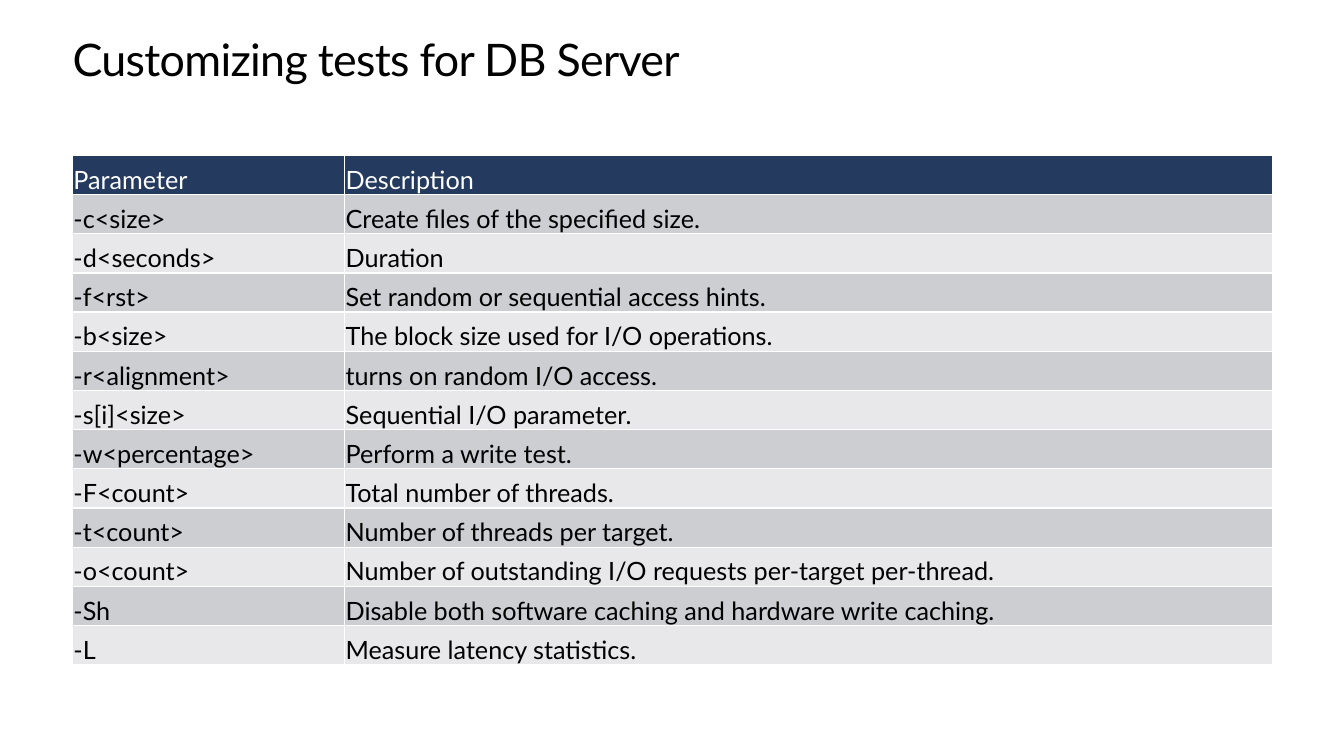
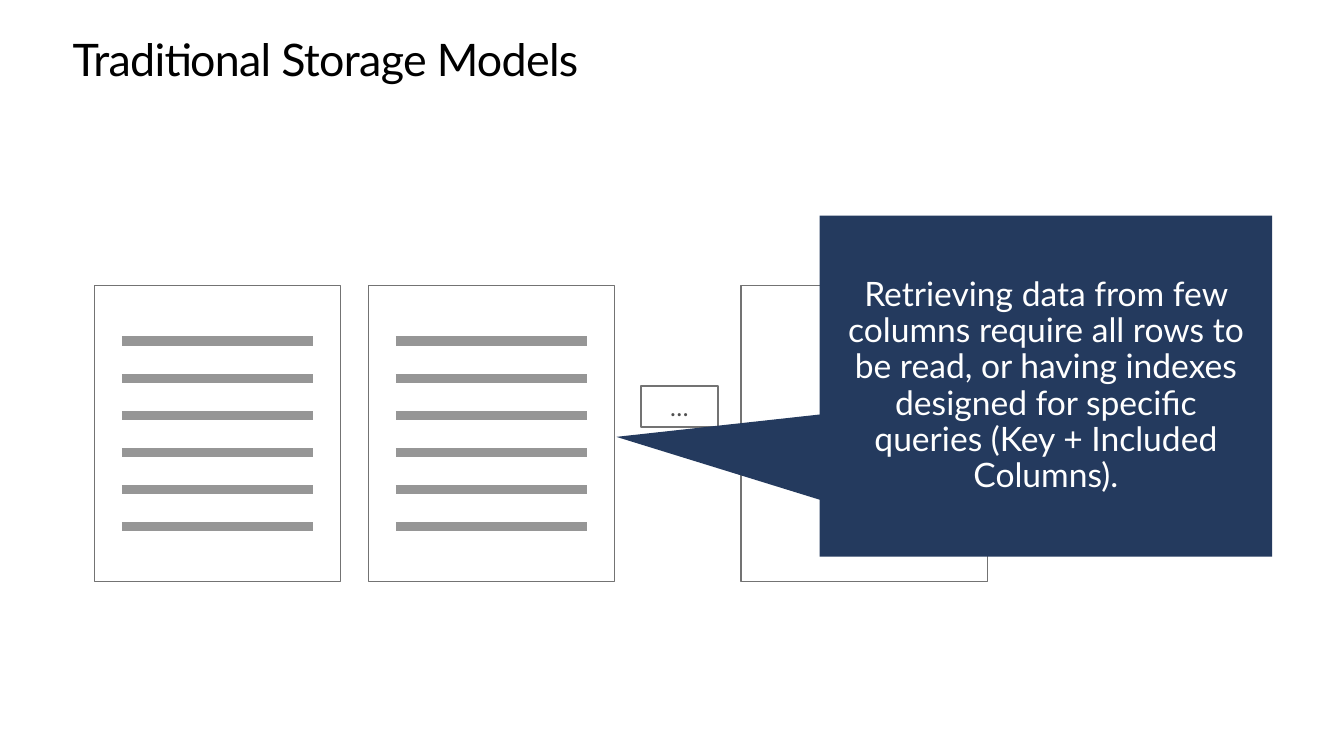
from lxml import etree
from pptx import Presentation
from pptx.dml.color import RGBColor
from pptx.enum.shapes import MSO_CONNECTOR as Connector, MSO_SHAPE as Preset
from pptx.enum.text import MSO_ANCHOR as Anchor, MSO_AUTO_SIZE as AutoSize, PP_ALIGN as Align
from pptx.oxml.ns import qn
from pptx.util import Pt

WHITE = RGBColor(0xFF, 0xFF, 0xFF)
BLACK = RGBColor(0x00, 0x00, 0x00)
NAVY = RGBColor(0x24, 0x3A, 0x5E)
BANDS = (RGBColor(0xCD, 0xCE, 0xD2), RGBColor(0xE8, 0xE8, 0xEA))
OUTLINE_GRAY = RGBColor(0x73, 0x73, 0x73)
ROW_GRAY = RGBColor(0x96, 0x96, 0x96)
TEXT_GRAY = RGBColor(0x50, 0x50, 0x50)
FONT = "Lato"

LEFT = 51.8
CONTENT_WIDTH = 857
TITLE_ONLY = 5

PARAMETERS = [
    ("Parameter", "Description"),
    ("-c<size>", "Create files of the specified size."),
    ("-d<seconds>", "Duration"),
    ("-f<rst>", "Set random or sequential access hints."),
    ("-b<size>", "The block size used for I/O operations."),
    ("-r<alignment>", "turns on random I/O access."),
    ("-s[i]<size>", "Sequential I/O parameter."),
    ("-w<percentage>", "Perform a write test."),
    ("-F<count>", "Total number of threads."),
    ("-t<count>", "Number of threads per target."),
    ("-o<count>", "Number of outstanding I/O requests per-target per-thread."),
    ("-Sh", "Disable both software caching and hardware write caching."),
    ("-L", "Measure latency statistics."),
]
COLUMN_WIDTHS = (194.4, 662.6)
ROW_HEIGHT = 28

PAGE_TOP, PAGE_WIDTH, PAGE_HEIGHT = 203.8, 175.8, 211.6
PAGE_ROWS = 6
ROW_INSET, ROW_WIDTH = 19.4, 136.8
FIRST_ROW_OFFSET, ROW_STEP = 39.8, 26.5


def add_run(paragraph, text, size, color):
    run = paragraph.add_run()
    run.text = text
    run.font.name = FONT
    run.font.size = Pt(size)
    run.font.color.rgb = color
    return run


def set_margins(target, horizontal, top, bottom):
    """Set the inner margins of a text frame or a table cell."""
    target.margin_left = target.margin_right = Pt(horizontal)
    target.margin_top, target.margin_bottom = Pt(top), Pt(bottom)


def add_titled_slide(presentation, text):
    slide = presentation.slides.add_slide(presentation.slide_layouts[TITLE_ONLY])
    title = slide.shapes.title
    title.left, title.top = Pt(LEFT), Pt(25.2)
    title.width, title.height = Pt(CONTENT_WIDTH), Pt(36.2)
    title.fill.solid()
    title.fill.fore_color.rgb = WHITE
    frame = title.text_frame
    frame.auto_size = AutoSize.NONE
    frame.vertical_anchor = Anchor.TOP
    set_margins(frame, 0, 0, 0)
    paragraph = frame.paragraphs[0]
    paragraph.alignment = Align.LEFT
    paragraph.line_spacing = Pt(36.2)
    run = add_run(paragraph, text, 32, BLACK)
    run.font._element.set("spc", "-50")
    return slide


def add_borders(cell, color, width):
    properties = cell._tc.get_or_add_tcPr()
    for side in ("lnL", "lnR", "lnT", "lnB"):
        line = etree.SubElement(properties, qn(f"a:{side}"), w=str(Pt(width)))
        fill = etree.SubElement(line, qn("a:solidFill"))
        etree.SubElement(fill, qn("a:srgbClr"), val=str(color))


def fill_cell(cell, text, background, color):
    add_borders(cell, WHITE, 1)
    cell.fill.solid()
    cell.fill.fore_color.rgb = background
    cell.vertical_anchor = Anchor.BOTTOM
    set_margins(cell, 0.7, 0.7, 0)
    add_run(cell.text_frame.paragraphs[0], text, 18, color)


def add_parameter_table(slide):
    table = slide.shapes.add_table(
        len(PARAMETERS), len(COLUMN_WIDTHS), Pt(LEFT), Pt(111),
        Pt(CONTENT_WIDTH), Pt(ROW_HEIGHT * len(PARAMETERS))).table
    table.first_row = table.horz_banding = False
    for column, width in zip(table.columns, COLUMN_WIDTHS):
        column.width = Pt(width)
    for index, texts in enumerate(PARAMETERS):
        table.rows[index].height = Pt(ROW_HEIGHT)
        if index == 0:
            background, color = NAVY, WHITE
        else:
            background, color = BANDS[(index - 1) % 2], BLACK
        for column, text in enumerate(texts):
            fill_cell(table.cell(index, column), text, background, color)


def add_box(slide, preset, left, top, width, height, fill=None, line=None, line_width=1):
    shape = slide.shapes.add_shape(preset, Pt(left), Pt(top), Pt(width), Pt(height))
    shape.shadow.inherit = False
    if fill is None:
        shape.fill.background()
    else:
        shape.fill.solid()
        shape.fill.fore_color.rgb = fill
    if line is None:
        shape.line.fill.background()
    else:
        shape.line.color.rgb = line
        shape.line.width = Pt(line_width)
    return shape


def add_centered_text(shape, text, size, color):
    frame = shape.text_frame
    frame.word_wrap = True
    frame.vertical_anchor = Anchor.MIDDLE
    paragraph = frame.paragraphs[0]
    paragraph.alignment = Align.CENTER
    add_run(paragraph, text, size, color)
    return paragraph


def add_data_row(slide, left, y):
    row = slide.shapes.add_connector(
        Connector.STRAIGHT, Pt(left), Pt(y), Pt(left + ROW_WIDTH), Pt(y))
    row.line.color.rgb = ROW_GRAY
    row.line.width = Pt(6.5)
    etree.SubElement(row._element.spPr, qn("a:effectLst"))


def add_page(slide, left, row_count):
    """Draw a storage page holding row_count data rows."""
    add_box(slide, Preset.RECTANGLE, left, PAGE_TOP, PAGE_WIDTH, PAGE_HEIGHT,
            line=OUTLINE_GRAY)
    for index in range(row_count):
        add_data_row(slide, left + ROW_INSET,
                     PAGE_TOP + FIRST_ROW_OFFSET + index * ROW_STEP)


def add_storage_diagram(slide):
    ellipsis = add_box(slide, Preset.RECTANGLE, 457.8, 275.8, 55, 29,
                       line=OUTLINE_GRAY, line_width=1.5)
    add_centered_text(ellipsis, "…", 17.6, TEXT_GRAY)
    for left, row_count in ((67.6, PAGE_ROWS), (263.4, PAGE_ROWS), (529.4, 0)):
        add_page(slide, left, row_count)


def add_callout(slide, text):
    callout = add_box(slide, Preset.RECTANGULAR_CALLOUT, 585.4, 154.1, 323.3, 243.4,
                      fill=NAVY)
    callout.adjustments[0] = -0.949
    callout.adjustments[1] = 0.149
    set_margins(callout.text_frame, 14.4, 11.5, 11.5)
    add_centered_text(callout, text, 24, WHITE).line_spacing = 0.9


def main():
    presentation = Presentation()
    presentation.slide_width, presentation.slide_height = Pt(960), Pt(540)

    slide = add_titled_slide(presentation, "Customizing tests for DB Server")
    add_parameter_table(slide)

    slide = add_titled_slide(presentation, "Traditional Storage Models")
    add_storage_diagram(slide)
    add_callout(slide, "Retrieving data from few columns require all rows to be read, "
                       "or having indexes designed for specific queries "
                       "(Key + Included Columns).")

    presentation.save("out.pptx")


if __name__ == "__main__":
    main()
